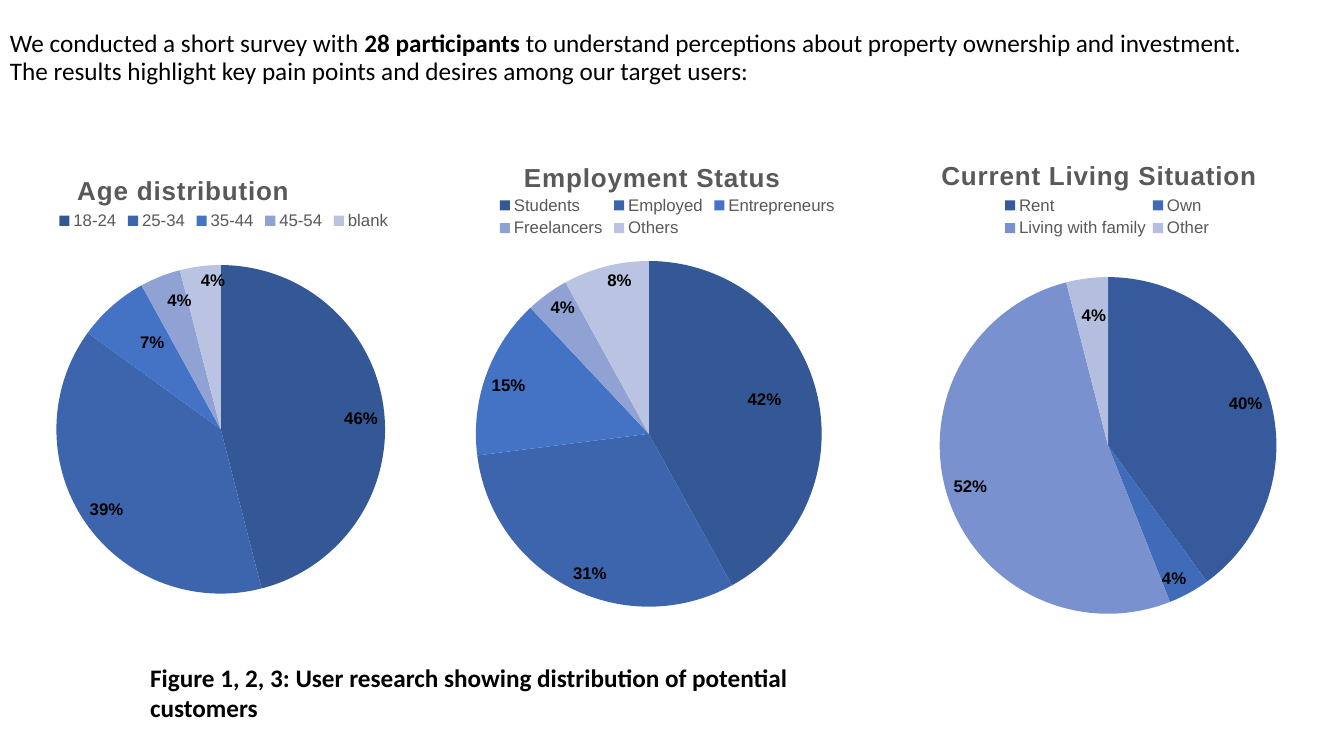
from pptx import Presentation
from pptx.chart.data import CategoryChartData
from pptx.dml.color import RGBColor
from pptx.enum.chart import XL_CHART_TYPE as ChartType
from pptx.enum.chart import XL_LABEL_POSITION as LabelPosition
from pptx.enum.chart import XL_LEGEND_POSITION as LegendPosition
from pptx.enum.text import MSO_AUTO_SIZE as AutoSize
from pptx.oxml import parse_xml
from pptx.oxml.ns import nsdecls
from pptx.util import Emu, Pt

PX = 9144
BLACK = RGBColor(0x00, 0x00, 0x00)
GREY = RGBColor(0x59, 0x59, 0x59)
FIVE_BLUES = [
    RGBColor(0x34, 0x57, 0x95),
    RGBColor(0x3C, 0x65, 0xAE),
    RGBColor(0x44, 0x72, 0xC4),
    RGBColor(0x90, 0xA2, 0xD3),
    RGBColor(0xBA, 0xC4, 0xE2),
]
FOUR_BLUES = [
    RGBColor(0x36, 0x5A, 0x9B),
    RGBColor(0x40, 0x6B, 0xB8),
    RGBColor(0x79, 0x91, 0xCE),
    RGBColor(0xB4, 0xBE, 0xDF),
]
PIES = [
    dict(
        title="Age distribution",
        shares={"18-24": 46, "25-34": 39, "35-44": 7, "45-54": 4, "blank": 4},
        colors=FIVE_BLUES,
        frame=(1, 138, 438, 465),
        title_at=(72, 167),
        legend_box=(53, 203, 338, 32),
        pie_box=(56, 263, 326, 326),
        label_shifts={2: (24, 23), 3: (5, 10)},
    ),
    dict(
        title="Employment Status",
        shares={"Students": 42, "Employed": 31, "Entrepreneurs": 15,
                "Freelancers": 4, "Others": 8},
        colors=FIVE_BLUES,
        frame=(405, 124, 512, 499),
        title_at=(515, 154),
        legend_box=(490, 190, 344, 50),
        pie_box=(472, 259, 343, 343),
        label_shifts={0: (-29, -1)},
    ),
    dict(
        title="Current Living Situation",
        shares={"Rent": 40, "Own": 4, "Living with family": 52, "Other": 4},
        colors=FOUR_BLUES,
        frame=(877, 124, 443, 499),
        title_at=(929, 152),
        legend_box=(990, 190, 216, 50),
        pie_box=(932, 275, 334, 334),
        label_shifts={3: (-6, 22)},
    ),
]


def scale(box):
    return [Emu(length * PX) for length in box]


def style_font(font, size, color=BLACK, bold=False, name="Arial"):
    font.name = name
    font.size = Pt(size)
    font.bold = bold
    font.color.rgb = color


def add_text(page, box, spans, line_spacing=None, auto_size=AutoSize.NONE):
    frame = page.shapes.add_textbox(*scale(box)).text_frame
    frame.word_wrap = True
    frame.auto_size = auto_size
    para = frame.paragraphs[0]
    para.line_spacing = line_spacing
    for text, bold in spans:
        span = para.add_run()
        span.text = text
        style_font(span.font, 18, bold=bold, name="Calibri")


def set_layout(element, index, values, absolute=True, inner=False):
    for old in element.xpath("c:layout"):
        element.remove(old)
    parts = ['<c:layoutTarget val="inner"/>'] if inner else []
    if absolute:
        parts += ['<c:xMode val="edge"/>', '<c:yMode val="edge"/>']
    parts += [f'<c:{key} val="{value:.4f}"/>' for key, value in zip("xywh", values)]
    element.insert(index, parse_xml(
        f'<c:layout {nsdecls("c")}><c:manualLayout>{"".join(parts)}'
        "</c:manualLayout></c:layout>"))


def fractions(box, frame):
    left, top, width, height = frame
    moved = (box[0] - left, box[1] - top, *box[2:])
    return [part / whole for part, whole in zip(moved, (width, height) * 2)]


def add_title(chart, title):
    frame = chart.chart_title.text_frame
    span = frame.paragraphs[0].add_run()
    span.text = title
    style_font(span.font, 18.6, GREY, bold=True)
    span.font._element.set("spc", "50")


def add_legend(chart):
    chart.has_legend = True
    chart.legend.position = LegendPosition.TOP
    chart.legend.include_in_layout = False
    style_font(chart.legend.font, 12, GREY)


def add_labels(series):
    labels = series.data_labels
    labels.show_value = False
    labels.show_percentage = True
    labels.number_format = "0%"
    labels.number_format_is_linked = False
    labels.position = LabelPosition.INSIDE_END
    style_font(labels.font, 12, bold=True)


def shift_label(chart, series, index, shift, size):
    label = series.points[index].data_label
    label.position = LabelPosition.INSIDE_END
    style_font(label.font, 12, bold=True)
    element = chart.element.xpath(f".//c:dLbl[c:idx/@val='{index}']")[0]
    element.xpath("c:showVal")[0].set("val", "0")
    element.xpath("c:showPercent")[0].set("val", "1")
    offsets = [part / whole for part, whole in zip(shift, size)]
    set_layout(element, 1, offsets, absolute=False)


def add_pie(page, title, shares, colors, frame, title_at, legend_box, pie_box,
            label_shifts):
    data = CategoryChartData()
    data.categories = list(shares)
    data.add_series(title, list(shares.values()))
    chart = page.shapes.add_chart(ChartType.PIE, *scale(frame), data).chart
    style_font(chart.font, 10)
    add_title(chart, title)
    add_legend(chart)
    series = chart.plots[0].series[0]
    for index, color in enumerate(colors):
        slice_format = series.points[index].format
        slice_format.fill.solid()
        slice_format.fill.fore_color.rgb = color
        slice_format.line.fill.background()
    add_labels(series)
    for index, shift in label_shifts.items():
        shift_label(chart, series, index, shift, frame[2:])
    root = chart.element
    set_layout(root.xpath("c:chart/c:title")[0], 1, fractions(title_at, frame))
    set_layout(root.xpath("c:chart/c:legend")[0], 1, fractions(legend_box, frame))
    set_layout(root.xpath("c:chart/c:plotArea")[0], 0, fractions(pie_box, frame),
               inner=True)


def main():
    deck = Presentation()
    deck.slide_width, deck.slide_height = scale((1333, 750))
    page = deck.slides.add_slide(deck.slide_layouts[6])
    add_text(page, (0, 26, 1243, 703), [
        ("We conducted a short survey with ", False),
        ("28 participants", True),
        (" to understand perceptions about property ownership and investment. "
         "The results highlight key pain points and desires among our target users:",
         False),
    ], line_spacing=0.9)
    for pie in PIES:
        add_pie(page, **pie)
    add_text(page, (139, 652, 671, 71), [
        ("Figure 1, 2, 3: User research showing distribution of potential customers",
         True),
    ], auto_size=AutoSize.SHAPE_TO_FIT_TEXT)
    deck.save("out.pptx")


if __name__ == "__main__":
    main()
